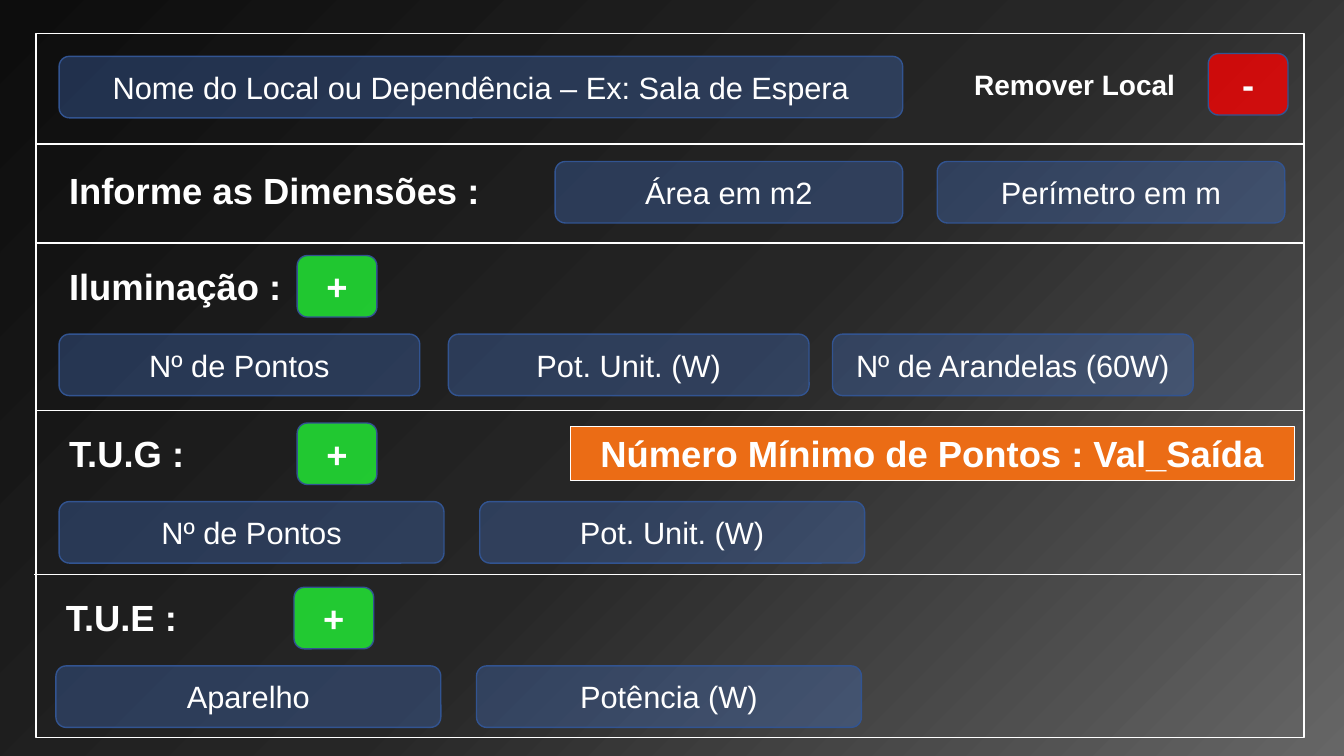
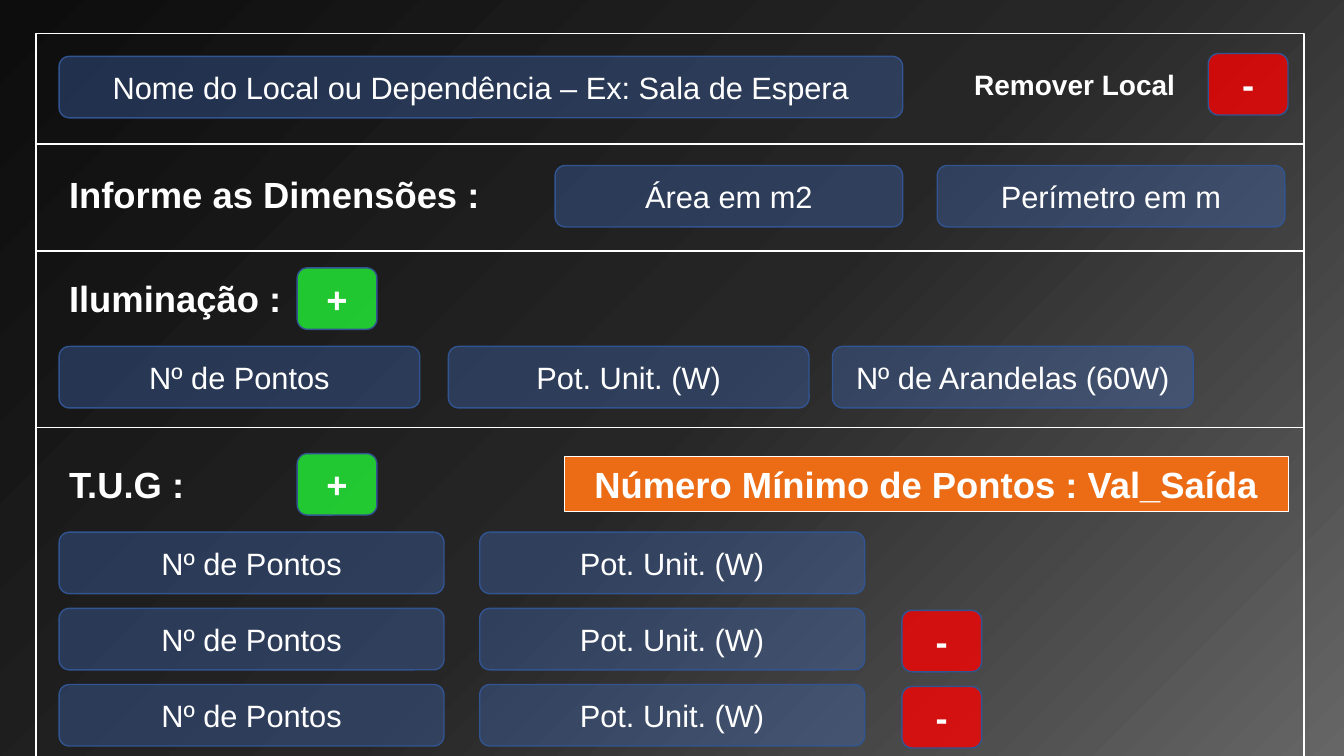
from copy import deepcopy

from pptx import Presentation
from pptx.dml.color import RGBColor
from pptx.enum.shapes import MSO_CONNECTOR, MSO_SHAPE
from pptx.enum.text import MSO_ANCHOR, MSO_AUTO_SIZE, PP_ALIGN
from pptx.oxml.ns import qn
from pptx.oxml.xmlchemy import OxmlElement
from pptx.util import Cm, Pt

WHITE = RGBColor(0xFF, 0xFF, 0xFF)
BLUE = RGBColor(0x44, 0x72, 0xC4)
NAVY = RGBColor(0x32, 0x54, 0x91)
RED = RGBColor(0xFF, 0x00, 0x00)
GREEN = RGBColor(0x22, 0xFE, 0x37)
ORANGE = RGBColor(0xEB, 0x6C, 0x15)
BACKDROP = (
    (0, RGBColor(0x66, 0x66, 0x66)),
    (0.48, RGBColor(0x26, 0x26, 0x26)),
    (1, RGBColor(0x0D, 0x0D, 0x0D)),
)

FIELD_FONT = {"name": "Arial", "size": Pt(22), "bold": False}
STRONG_FONT = {"name": "Arial", "size": Pt(26), "bold": True}
SMALL_FONT = {"name": "Arial", "size": Pt(20), "bold": True}
CENTRED = {"word_wrap": True, "vertical_anchor": MSO_ANCHOR.MIDDLE}
GROWING = {
    "word_wrap": True,
    "vertical_anchor": MSO_ANCHOR.TOP,
    "auto_size": MSO_AUTO_SIZE.SHAPE_TO_FIT_TEXT,
}

FRAME_LEFT, FRAME_TOP, FRAME_WIDTH = 0.91, 0.84, 31.95
INSET = 0.58
FIELD_HEIGHT, BUTTON_WIDTH, LABEL_HEIGHT = 1.55, 2.01, 1.37
LABEL_DROP, FIELDS_DROP, ROW_PITCH = 0.08, 1.98, 1.92
LIGHT_LEFTS, LIGHT_WIDTH = (INSET, 10.39, 20.07), 9.09
SOCKET_LEFTS, SOCKET_WIDTH = (INSET, 11.18), 9.7
REMOVE_LEFT = 21.82
LIGHT_FIELDS = ("Nº de Pontos", "Pot. Unit. (W)", "Nº de Arandelas (60W)")
SOCKET_FIELDS = LIGHT_FIELDS[:2]


def set_values(target, values):
    """Set each named attribute of the target."""
    for name, value in values.items():
        setattr(target, name, value)


def write(shape, text, font, frame_format, alignment):
    """Put one formatted line of white text in a shape."""
    set_values(shape.text_frame, frame_format)
    paragraph = shape.text_frame.paragraphs[0]
    paragraph.alignment = alignment
    run = paragraph.add_run()
    run.text = text
    set_values(run.font, font)
    run.font.color.rgb = WHITE


def add_box(slide, preset, box, fill=None, opacity=100, outline=WHITE, weight=1):
    """Add an outlined shape, filled if a colour is given."""
    shape = slide.shapes.add_shape(preset, *map(Cm, box))
    shape.shadow.inherit = False
    shape.line.color.rgb = outline
    shape.line.width = Pt(weight)
    if fill is None:
        shape.fill.background()
        return shape
    shape.fill.solid()
    shape.fill.fore_color.rgb = fill
    if opacity < 100:
        alpha = OxmlElement("a:alpha")
        alpha.set("val", str(opacity * 1000))
        shape.fill._xPr.find(qn("a:solidFill"))[0].append(alpha)
    return shape


def add_field(slide, text, left, top, width):
    """Add a translucent blue input field."""
    field = add_box(slide, MSO_SHAPE.ROUNDED_RECTANGLE,
                    (left, top, width, FIELD_HEIGHT), BLUE, 34, NAVY)
    write(field, text, FIELD_FONT, CENTRED, PP_ALIGN.CENTER)


def add_button(slide, sign, left, top):
    """Add a green plus button or a red minus button."""
    button = add_box(slide, MSO_SHAPE.ROUNDED_RECTANGLE,
                     (left, top, BUTTON_WIDTH, FIELD_HEIGHT),
                     GREEN if sign == "+" else RED, 76, NAVY)
    write(button, sign, STRONG_FONT, CENTRED, PP_ALIGN.CENTER)


def add_label(slide, text, left, top, width, font=STRONG_FONT):
    """Add a bold label."""
    label = slide.shapes.add_textbox(*map(Cm, (left, top, width, LABEL_HEIGHT)))
    write(label, text, font, GROWING, PP_ALIGN.JUSTIFY)


def add_divider(slide, left, top):
    """Add the white rule above a band."""
    start, end = left + 0.03, left + FRAME_WIDTH
    rule = slide.shapes.add_connector(
        MSO_CONNECTOR.STRAIGHT, Cm(start), Cm(top), Cm(end), Cm(top))
    rule.line.color.rgb = WHITE
    rule.line.width = Pt(1)
    rule._element.spPr.append(OxmlElement("a:effectLst"))


def add_header(slide, left, top):
    """Place the room name and the remove control."""
    add_field(slide, "Nome do Local ou Dependência – Ex: Sala de Espera",
              left + INSET, top + 0.58, 21.26)
    add_label(slide, "Remover Local", left + 23.39, top + 0.74, 6.05, SMALL_FONT)
    add_button(slide, "-", left + 29.54, top + 0.51)


def add_dimensions(slide, left, top, height):
    """Place the area and perimeter fields in the middle of their band."""
    add_divider(slide, left, top)
    field_top = top + (height - FIELD_HEIGHT) / 2 - 0.03
    add_label(slide, "Informe as Dimensões :", left + INSET, field_top + 0.05, 11.28)
    for text, offset in (("Área em m2", 13.08), ("Perímetro em m", 22.71)):
        add_field(slide, text, left + offset, field_top, 8.76)


def add_group(slide, left, top, title, fields, lefts, width, inset=0.32, rows=1):
    """Place a titled group with its plus button and rows of fields."""
    add_divider(slide, left, top)
    add_label(slide, title, left + INSET, top + inset + LABEL_DROP, 6.02)
    add_button(slide, "+", left + 6.58, top + inset)
    for row in range(rows):
        row_top = top + inset + FIELDS_DROP + row * ROW_PITCH
        for text, offset in zip(fields, lefts):
            add_field(slide, text, left + offset, row_top, width)
        if row:
            add_button(slide, "-", left + REMOVE_LEFT, row_top + 0.05)


def add_notice(slide, left, top):
    """Place the orange minimum count notice."""
    notice = add_box(slide, MSO_SHAPE.RECTANGLE, (left, top, 18.26, LABEL_HEIGHT),
                     ORANGE, weight=0.75)
    write(notice, "Número Mínimo de Pontos : Val_Saída",
          STRONG_FONT, GROWING, PP_ALIGN.CENTER)


def add_form(prs, bottom, light_top, socket_top, light_inset, socket_inset,
             socket_rows, notice_left):
    """Build the form slide down to the socket group."""
    slide = prs.slides.add_slide(prs.slide_layouts[6])
    dimensions_top = 3.63
    add_box(slide, MSO_SHAPE.RECTANGLE,
            (FRAME_LEFT, FRAME_TOP, FRAME_WIDTH, bottom - FRAME_TOP))
    add_header(slide, FRAME_LEFT, FRAME_TOP)
    add_dimensions(slide, FRAME_LEFT, dimensions_top, light_top - dimensions_top)
    add_group(slide, FRAME_LEFT, light_top, "Iluminação :", LIGHT_FIELDS,
              LIGHT_LEFTS, LIGHT_WIDTH, light_inset)
    add_group(slide, FRAME_LEFT, socket_top, "T.U.G :", SOCKET_FIELDS,
              SOCKET_LEFTS, SOCKET_WIDTH, socket_inset, socket_rows)
    add_notice(slide, FRAME_LEFT + notice_left, socket_top + socket_inset + LABEL_DROP)
    return slide


def set_backdrop(master):
    """Give the master the diagonal dark gradient."""
    fill = master.background.fill
    fill.gradient()
    fill.gradient_angle = 135
    stop_list = next(master.element.iter(qn("a:gsLst")))
    stop_list.append(deepcopy(stop_list[0]))
    for stop, (position, colour) in zip(fill.gradient_stops, BACKDROP):
        stop.position = position
        stop.color.rgb = colour


def main():
    """Build and save both form slides."""
    prs = Presentation()
    prs.slide_width, prs.slide_height = Cm(33.87), Cm(19.05)
    set_backdrop(prs.slide_master)
    complete = add_form(prs, bottom=18.59, light_top=6.12, socket_top=10.34,
                        light_inset=0.32, socket_inset=0.32, socket_rows=1,
                        notice_left=13.46)
    add_group(complete, FRAME_LEFT - 0.08, 14.48, "T.U.E :",
              ("Aparelho", "Potência (W)"), SOCKET_LEFTS, SOCKET_WIDTH)
    add_form(prs, bottom=19.81, light_top=6.32, socket_top=10.77,
             light_inset=0.43, socket_inset=0.66, socket_rows=3,
             notice_left=13.31)
    prs.save("out.pptx")


if __name__ == "__main__":
    main()
